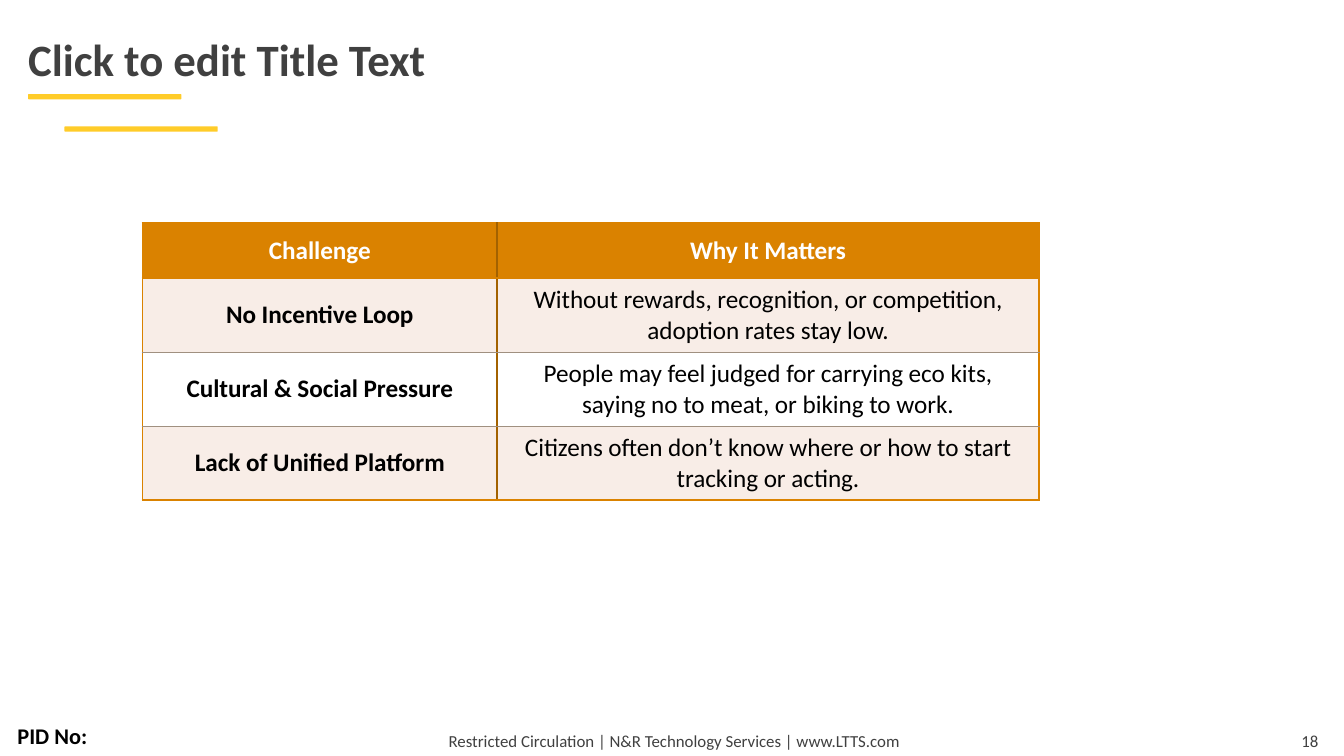
from dataclasses import dataclass

from lxml import etree
from pptx import Presentation
from pptx.dml.color import RGBColor
from pptx.enum.shapes import MSO_SHAPE
from pptx.enum.text import MSO_ANCHOR, PP_ALIGN
from pptx.oxml.ns import qn
from pptx.util import Inches, Pt

LEFT, CENTER, RIGHT = PP_ALIGN.LEFT, PP_ALIGN.CENTER, PP_ALIGN.RIGHT
TOP, MIDDLE, BOTTOM = MSO_ANCHOR.TOP, MSO_ANCHOR.MIDDLE, MSO_ANCHOR.BOTTOM
ROUNDED = MSO_SHAPE.ROUNDED_RECTANGLE

SLIDE_WIDTH = Inches(10)
SLIDE_HEIGHT = SLIDE_WIDTH * 9 // 16
FONT = "Calibri"
COLORS = {
    "grey": "404040",
    "black": "000000",
    "white": "FFFFFF",
    "yellow": "FFCC29",
    "orange": "DA8200",
    "brown": "A36200",
    "row_line": "A09080",
    "band": "F8EDE7",
}


@dataclass
class Label:
    text: str
    box: tuple[float, float, float, float]
    size: float
    color: str = "grey"
    bold: bool = False
    align: PP_ALIGN = CENTER
    anchor: MSO_ANCHOR = TOP
    inset: tuple[float, float] = (0.07, 0.04)
    wrap: bool = False
    line_spacing: float = 1.0


@dataclass
class Border:
    color: str
    width: float = 1


LABELS = [
    Label("Restricted Circulation | N&R Technology Services | www.LTTS.com",
          (3.25, 5.4, 3.53, 0.23), 9),
    Label("18", (9.38, 5.4, 0.5, 0.23), 9, align=RIGHT, wrap=True),
    Label("Click to edit Title Text", (0.21, 0, 9.63, 0.69), 24, bold=True, align=LEFT,
          anchor=BOTTOM, inset=(0, 0.05), wrap=True, line_spacing=0.9),
    Label("PID No:", (0.05, 5.33, 0.68, 0.28), 12, "black", bold=True),
]
ACCENT_BARS = [(0.21, 0.7), (0.48, 0.94)]
BAR_SIZE = (1.14, 0.04)

TABLE_ORIGIN = (1.06, 1.66)
COLUMN_WIDTHS = (2.64, 4.03)
HEADER_HEIGHT, BODY_HEIGHT = 0.41, 0.55
ROWS = [
    ("Challenge", "Why It Matters"),
    ("No Incentive Loop",
     "Without rewards, recognition, or competition, adoption rates stay low."),
    ("Cultural & Social Pressure",
     "People may feel judged for carrying eco kits, saying no to meat, or biking to work."),
    ("Lack of Unified Platform",
     "Citizens often don’t know where or how to start tracking or acting."),
]


def rgb(name: str) -> RGBColor:
    return RGBColor.from_string(COLORS[name])


def write(p, text: str, size: float, color: str, bold: bool, align: PP_ALIGN) -> None:
    p.alignment = align
    r = p.add_run()
    r.text = text
    for name, value in {"name": FONT, "size": Pt(size), "bold": bold}.items():
        setattr(r.font, name, value)
    r.font.color.rgb = rgb(color)


def add_label(s, label: Label) -> None:
    tf = s.shapes.add_textbox(*map(Inches, label.box)).text_frame
    x, y = map(Inches, label.inset)
    frame_format = {
        "word_wrap": label.wrap, "vertical_anchor": label.anchor,
        "margin_left": x, "margin_right": x, "margin_top": y, "margin_bottom": y,
    }
    for name, value in frame_format.items():
        setattr(tf, name, value)
    p = tf.paragraphs[0]
    p.line_spacing = label.line_spacing
    write(p, label.text, label.size, label.color, label.bold, label.align)


def add_accent_bar(s, left: float, top: float) -> None:
    sp = s.shapes.add_shape(ROUNDED, *map(Inches, (left, top, *BAR_SIZE)))
    sp.shadow.inherit = False
    sp.fill.solid()
    sp.fill.fore_color.rgb = rgb("yellow")
    sp.line.fill.background()


def set_borders(cell, borders: dict[str, Border]) -> None:
    """Add the cell's edge lines; call before filling, as the schema orders lines first."""
    tc_pr = cell._tc.get_or_add_tcPr()
    for side in "LRTB":
        border = borders[side]
        ln = etree.SubElement(tc_pr, qn(f"a:ln{side}"), w=str(Pt(border.width)))
        fill = etree.SubElement(ln, qn("a:solidFill"))
        etree.SubElement(fill, qn("a:srgbClr"), val=COLORS[border.color])


def add_challenge_table(s) -> None:
    last = len(ROWS) - 1
    heights = [HEADER_HEIGHT] + [BODY_HEIGHT] * last
    size = (sum(COLUMN_WIDTHS), sum(heights))
    frame = s.shapes.add_table(len(ROWS), len(COLUMN_WIDTHS),
                               *map(Inches, (*TABLE_ORIGIN, *size)))
    table = frame.table
    for column, width in zip(table.columns, COLUMN_WIDTHS):
        column.width = Inches(width)
    outer, divider, inner = Border("orange"), Border("brown"), Border("row_line", 0.5)
    for i, texts in enumerate(ROWS):
        table.rows[i].height = Inches(heights[i])
        header = i == 0
        fill = "orange" if header else "band" if i % 2 else "white"
        for j, text in enumerate(texts):
            cell = table.cell(i, j)
            set_borders(cell, {
                "L": divider if j else outer,
                "R": outer if j else divider,
                "T": outer if i <= 1 else inner,
                "B": outer if i in (0, last) else inner,
            })
            cell.fill.solid()
            cell.fill.fore_color.rgb = rgb(fill)
            cell.vertical_anchor = MIDDLE
            write(cell.text_frame.paragraphs[0], text, 13.5,
                  "white" if header else "black", header or j == 0, CENTER)


def main() -> None:
    prs = Presentation()
    prs.slide_width, prs.slide_height = SLIDE_WIDTH, SLIDE_HEIGHT
    s = prs.slides.add_slide(prs.slide_layouts[6])
    for label in LABELS:
        add_label(s, label)
    for left, top in ACCENT_BARS:
        add_accent_bar(s, left, top)
    add_challenge_table(s)
    prs.save("out.pptx")


if __name__ == "__main__":
    main()
